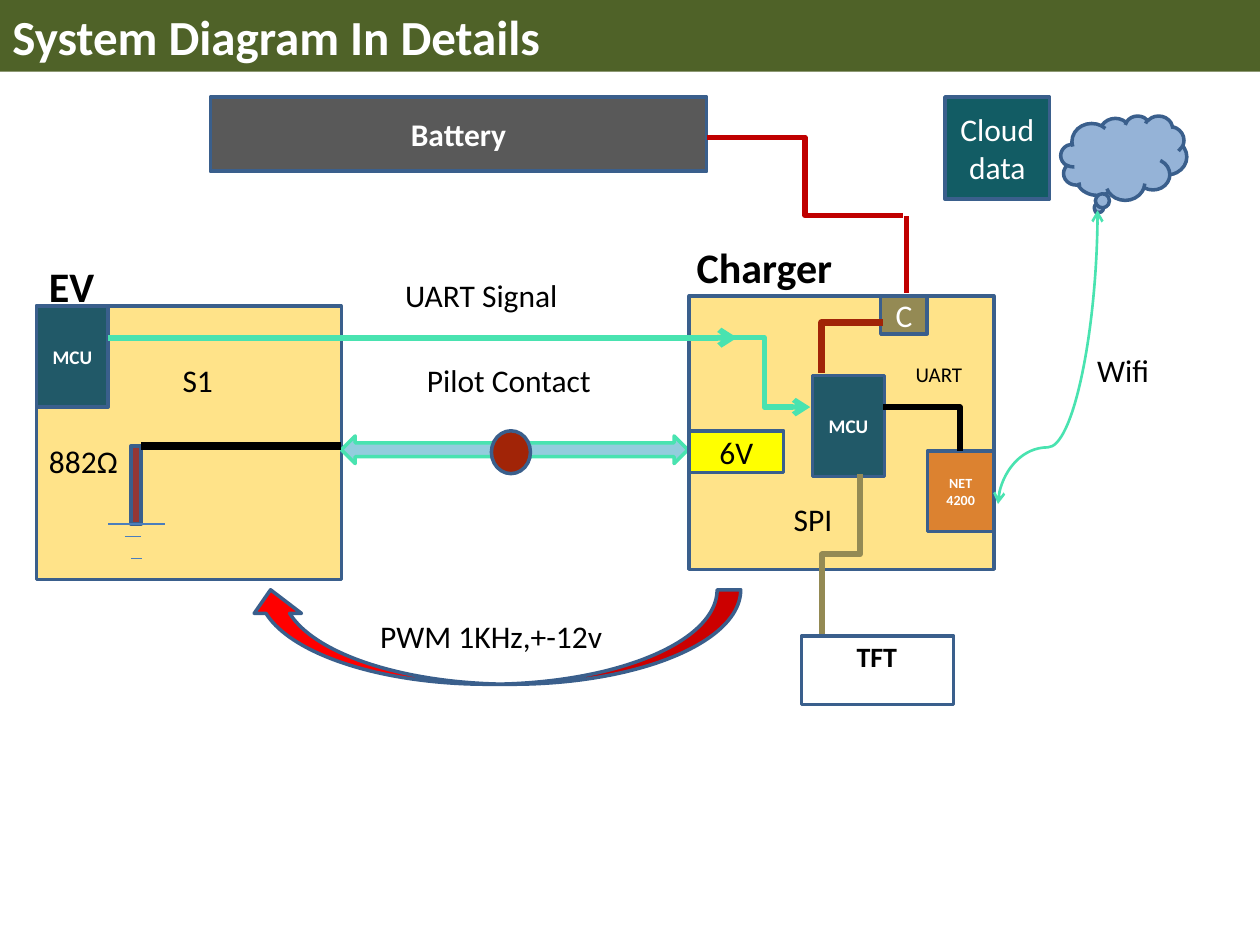
from lxml import etree
from pptx import Presentation
from pptx import util as u
from pptx.dml.color import RGBColor
from pptx.enum import shapes, text
from pptx.oxml.ns import qn

S, C = shapes.MSO_SHAPE, shapes.MSO_CONNECTOR

THEME = {
    "font": "Calibri",
    "edge": "3A5F8C", "edge_w": 2,
    "bar": "4F6228", "panel": "FFE389", "chip": "215968", "mint": "49E3B0",
    "pilot": "93CDDD", "rust": "A12407", "ohm": "953735", "red": "FF0000",
    "olive": "948A54", "gray": "595959", "wire": "C00000", "yellow": "FFFF00",
    "orange": "DC8230", "cloud": "95B3D7", "teal": "125C64", "earth": "4B7EBC",
    "white": "FFFFFF", "black": "000000",
    "title": 28, "head": 24, "body": 18, "mid": 16, "small": 12, "mcu": 11, "tiny": 8,
}

TITLE = "System Diagram In Details"
PANEL, CHIP = (174.2, 156.2), (41, 57.6)

# Blocks: shape, (left, top, width, height), fill, edge, text, (size, colour, bold)
BLOCKS = [
    (S.RECTANGLE, (20.9, 175, *PANEL), "panel", "edge", "", None),
    (S.RECTANGLE, (393.8, 169.2, *PANEL), "panel", "edge", "", None),
    (S.LEFT_RIGHT_ARROW, (195.1, 249.1, 198, 15.8), "pilot", "mint", "", None),
    (S.OVAL, (280.8, 246.2, 22.3, 24.5), "rust", "edge", "", None),
    (S.RECTANGLE, (74.9, 254.9, 5.8, 44.6), "ohm", "edge", "", None),
    (S.RECTANGLE, (20.9, 175, *CHIP), "chip", "edge", "MCU", ("mcu", "white", True)),
    (S.RECTANGLE, (464.4, 214.6, *CHIP), "chip", "edge", "MCU", ("mcu", "white", True)),
    (S.CURVED_UP_ARROW, (141.1, 337, 282.2, 54), "red", "edge", "", None),
    (S.RECTANGLE, (503.3, 169.2, 26.6, 21.6), "olive", "edge", "C", ("body", "white", False)),
    (S.RECTANGLE, (120.2, 55.4, 283.7, 42.5), "gray", "edge", "Battery", ("body", "white", True)),
    (S.RECTANGLE, (393.8, 246.2, 54, 23.8), "yellow", "edge", "6V", ("body", "black", False)),
    (S.RECTANGLE, (529.9, 257.8, 38.2, 46.1), "orange", "edge", "NET\n4200", ("tiny", "white", True)),
    (S.CLOUD_CALLOUT, (606.2, 66.2, 72, 48.2), "cloud", "edge", "", None),
    (S.RECTANGLE, (540, 55.4, 59.8, 58.3), "teal", "edge", "Cloud data", ("body", "white", False)),
    (S.RECTANGLE, (457.9, 363.6, 87.1, 38.9), None, "edge", "", None),
]

# Links: kind, start and end before turning, colour, width, extras
LINKS = [
    *[(C.STRAIGHT, (a, 254.9, b, 254.9), "black", 4.25, {})
      for a, b in [(80.6, 108), (106.6, 133.2), (131, 195.1)]],
    *[(C.STRAIGHT, (a, y, b, y), "earth", 0.75, {})
      for a, b, y in [(61.9, 94.3, 299.5), (71.3, 80.6, 306.7), (74.9, 81.4, 319)]],
    (C.ELBOW, (469.4, 213.1, 504.7, 184.3), "rust", 3.75,
     {"rot": 180, "prst": "bentConnector2"}),
    (C.ELBOW, (403.9, 78.5, 516.2, 123.1), "wire", 3, {}),
    (C.ELBOW, (496.1, 145.4, 540, 145.4), "wire", 3, {"rot": 90}),
    (C.STRAIGHT, (61.9, 193, 421.2, 193), "mint", 3.25, {"ends": ["tailEnd"]}),
    (C.ELBOW, (410.4, 193, 463, 232.6), "mint", 3, {"ends": ["tailEnd"]}),
    (C.ELBOW, (504.7, 232.6, 548.6, 257.8), "black", 3, {"prst": "bentConnector2"}),
    (C.CURVE, (682.6, 232.6, 514.8, 175.7), "mint", 1.5,
     {"rot": 90, "adj": 19300, "ends": ["headEnd", "tailEnd"]}),
    (C.ELBOW, (434.9, 306, 526.3, 327.6), "olive", 3.25, {"rot": 90}),
]

# Labels: text, (left, top, width, height), size, bold, wrap
LABELS = [
    ("Pilot Contact", (236.9, 203, 108.7, 28.8), "body", False, False),
    ("EV", (20.9, 145.4, 41, 36), "head", True, False),
    ("Charger", (391, 134.6, 113.8, 36), "head", True, True),
    ("S1", (97.2, 203, 32.4, 28.8), "body", False, False),
    ("882Ω", (20.9, 249.1, 54, 28.8), "body", False, False),
    ("PWM 1KHz,+-12v", (210.2, 349.2, 149.8, 28.8), "body", False, True),
    ("UART Signal", (224.4, 154.1, 160.8, 28.8), "body", False, True),
    ("UART", (516.2, 203, 41.8, 21.6), "small", False, False),
    ("Wifi", (619.9, 197.3, 44.6, 28.8), "body", False, False),
    ("TFT", (482.4, 362.2, 37.4, 26.6), "mid", True, False),
    ("SPI", (446.4, 282.2, 36.7, 28.8), "body", False, False),
]


def rgb(key):
    return RGBColor.from_string(THEME[key])


def pts(vals):
    return [u.Pt(v) for v in vals]


def write(shape, words, size, tint, bold, align, anchor, wrap=True):
    frame = shape.text_frame
    frame.text = words
    for key, val in {"word_wrap": wrap, "vertical_anchor": anchor}.items():
        setattr(frame, key, val)
    form = {"name": THEME["font"], "size": u.Pt(THEME[size]), "bold": bold}
    for para in frame.paragraphs:
        para.alignment = align
        for run in para.runs:
            for key, val in form.items():
                setattr(run.font, key, val)
            run.font.color.rgb = rgb(tint)


def block(slide, kind, box, fill, edge):
    shape = slide.shapes.add_shape(kind, *pts(box))
    shape.shadow.inherit = False
    if fill:
        shape.fill.solid()
        shape.fill.fore_color.rgb = rgb(fill)
    else:
        shape.fill.background()
    if edge:
        shape.line.color.rgb = rgb(edge)
        shape.line.width = u.Pt(THEME["edge_w"])
    else:
        shape.line.fill.background()
    return shape


def link(slide, kind, ends, tint, width, extra):
    wire = slide.shapes.add_connector(kind, *pts(ends))
    wire.line.color.rgb = rgb(tint)
    wire.line.width = u.Pt(width)
    props = wire._element.spPr
    geom = props.find(qn("a:prstGeom"))
    if "rot" in extra:
        props.find(qn("a:xfrm")).set("rot", str(extra["rot"] * 60000))
    if "prst" in extra:
        geom.set("prst", extra["prst"])
    if "adj" in extra:
        etree.SubElement(geom.find(qn("a:avLst")), qn("a:gd"),
                         name="adj1", fmla=f"val {extra['adj']}")
    for end in extra.get("ends", []):
        etree.SubElement(props.find(qn("a:ln")), qn("a:" + end), type="arrow")
    etree.SubElement(props, qn("a:effectLst"))


def main():
    deck = Presentation()
    deck.slide_width, deck.slide_height = pts((720, 540))
    slide = deck.slides.add_slide(deck.slide_layouts[6])
    left, mid = text.PP_ALIGN.LEFT, text.PP_ALIGN.CENTER
    top, centre = text.MSO_ANCHOR.TOP, text.MSO_ANCHOR.MIDDLE

    # Title bar
    bar = block(slide, S.RECTANGLE, (0, 0, 720, 41), "bar", None)
    write(bar, TITLE, "title", "white", True, left, top)

    # Blocks, with the PWM arrow mirrored
    for kind, box, fill, edge, words, style in BLOCKS:
        shape = block(slide, kind, box, fill, edge)
        if kind == S.CURVED_UP_ARROW:
            shape._element.spPr.find(qn("a:xfrm")).set("flipH", "1")
        if words:
            write(shape, words, *style, mid, centre)

    # Wires and signals
    for row in LINKS:
        link(slide, *row)

    # Labels
    for words, box, size, bold, wrap in LABELS:
        label = slide.shapes.add_textbox(*pts(box))
        write(label, words, size, "black", bold, left, top, wrap)

    deck.save("out.pptx")


if __name__ == "__main__":
    main()
